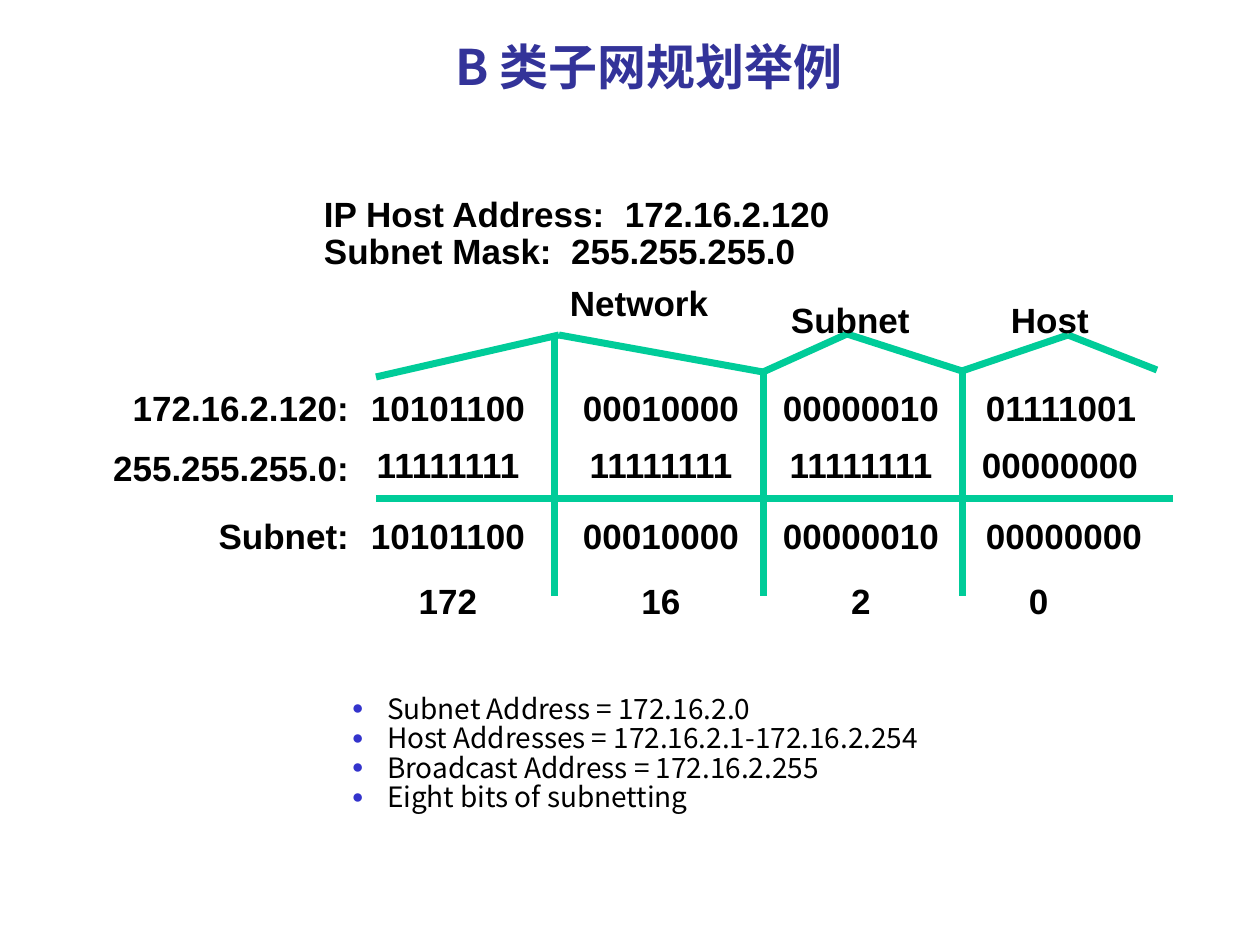
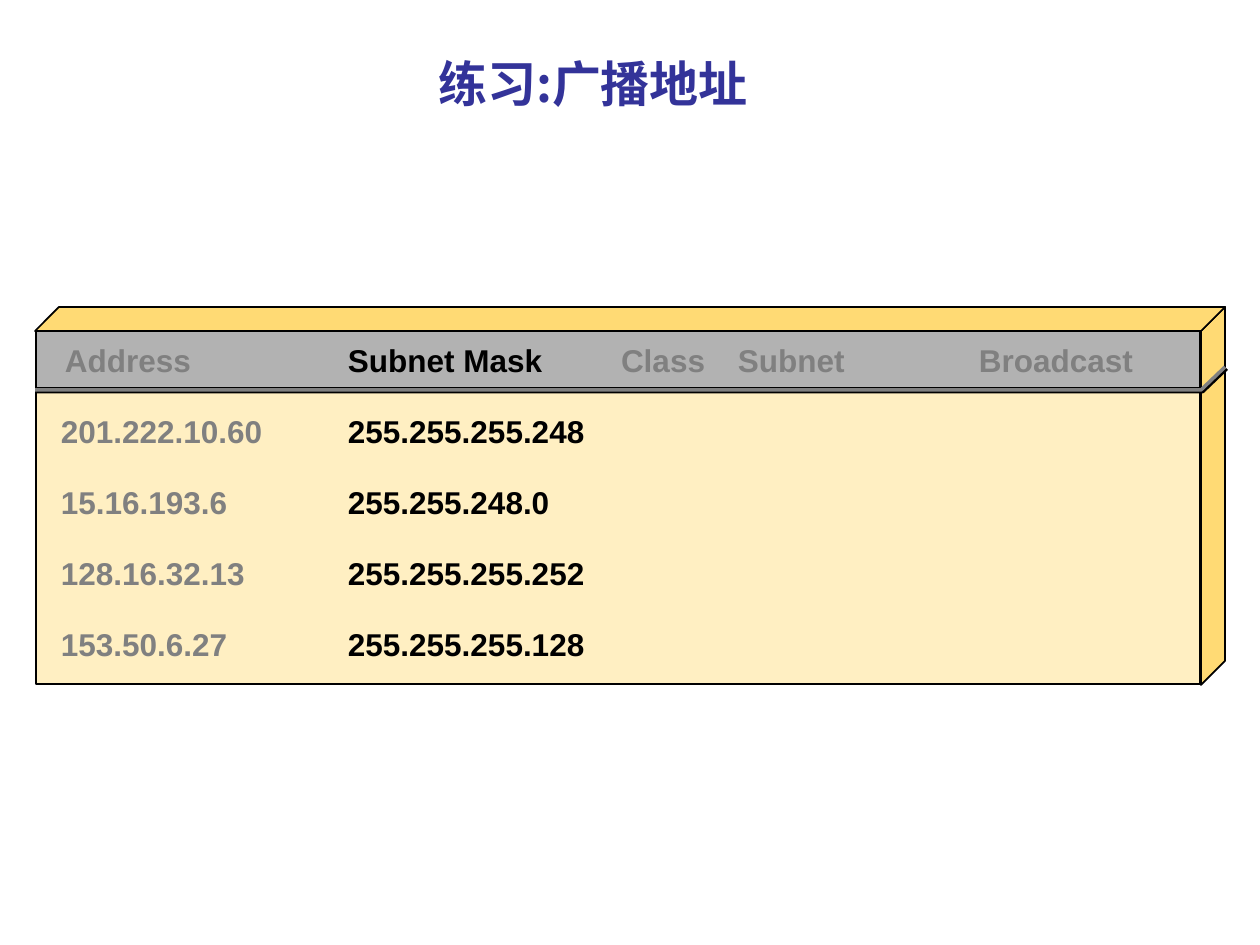
from lxml import etree
from pptx import Presentation
from pptx.dml.color import RGBColor
from pptx.enum.shapes import MSO_CONNECTOR, MSO_SHAPE
from pptx.enum.text import MSO_ANCHOR, MSO_AUTO_SIZE, PP_ALIGN
from pptx.oxml.ns import qn
from pptx.util import Emu, Inches, Pt

SCALE = 914400 / 126  # EMU in one px
LEFT, CENTER, RIGHT = PP_ALIGN.LEFT, PP_ALIGN.CENTER, PP_ALIGN.RIGHT
JUSTIFY = PP_ALIGN.JUSTIFY
TOP, MIDDLE = MSO_ANCHOR.TOP, MSO_ANCHOR.MIDDLE
STRAIGHT, RECTANGLE = MSO_CONNECTOR.STRAIGHT, MSO_SHAPE.RECTANGLE
NO_AUTOFIT = MSO_AUTO_SIZE.NONE

LATIN, CJK = "Arial", "Noto Sans CJK SC"
COLORS = {
    "title": "333399", "title_shadow": "C0C0C0", "text": "000000",
    "bullet": "3333CC", "bracket": "00CC99", "muted": "808080",
    "panel": "FFEFC2", "panel_edge": "FFDA74", "header": "B2B2B2",
    "outline": "000000",
}
TITLE_LAYOUT, BODY_LAYOUT = 5, 1
PLACEHOLDER_INSETS = (11, 5)
BINARY_INSETS = (3, 4)
EXERCISE_INSETS = (14, 8)


def px(value):
    return Emu(round(value * SCALE))


def rgb(name):
    return RGBColor.from_string(COLORS[name])


def add_xml(parent, tag, **attributes):
    return etree.SubElement(parent, qn(tag), attributes)


def add_shadow(effects, color, distance):
    shadow = add_xml(effects, "a:outerShdw", dist=str(Pt(distance)), dir="2700000",
                     algn="ctr", rotWithShape="0")
    add_xml(shadow, "a:srgbClr", val=COLORS[color])


def add_bullet(paragraph):
    properties = paragraph._p.get_or_add_pPr()
    indent = Inches(0.28)
    properties.set("marL", str(indent))
    properties.set("indent", str(-indent))
    add_xml(add_xml(properties, "a:buClr"), "a:srgbClr", val=COLORS["bullet"])
    add_xml(properties, "a:buSzPct", val="70000")
    add_xml(properties, "a:buChar", char="●")


def add_tab(paragraph, position):
    tabs = add_xml(paragraph._p.get_or_add_pPr(), "a:tabLst")
    add_xml(tabs, "a:tab", pos=str(px(position)), algn="l")


def write_text(shape, text, *, size=20, font=LATIN, color="text", bold=True, align=LEFT,
               anchor=TOP, insets=BINARY_INSETS, spacing=None, gap=0, tab=None,
               bullets=False, shadow=False):
    """Write one paragraph for each line of text."""
    frame = shape.text_frame
    frame.word_wrap = True
    frame.auto_size = NO_AUTOFIT
    frame.vertical_anchor = anchor
    frame.margin_left = frame.margin_right = px(insets[0])
    frame.margin_top = frame.margin_bottom = px(insets[1])
    for index, line in enumerate(text.split("\n")):
        paragraph = frame.add_paragraph() if index else frame.paragraphs[0]
        if bullets:
            add_bullet(paragraph)
        if tab:
            add_tab(paragraph, tab)
        paragraph.alignment = align
        paragraph.space_before = Pt(gap if index else 0)
        if spacing:
            paragraph.line_spacing = spacing
        run = paragraph.add_run()
        run.text = line
        run.font.size = Pt(size)
        run.font.bold = bold
        run.font.color.rgb = rgb(color)
        run.font.name = font
        properties = run._r.get_or_add_rPr()
        if shadow:
            effects = etree.Element(qn("a:effectLst"))
            add_shadow(effects, "title_shadow", 2)
            properties.find(qn("a:latin")).addprevious(effects)
        east_asian = etree.Element(qn("a:ea"), typeface=font)
        properties.find(qn("a:latin")).addnext(east_asian)


def place(shape, left, top, width, height):
    shape.left, shape.top = px(left), px(top)
    shape.width, shape.height = px(width), px(height)


def add_label(slide, text, left, top, width, height, **text_format):
    box = slide.shapes.add_textbox(px(left), px(top), px(width), px(height))
    write_text(box, text, **text_format)


def set_title(slide, text, *box):
    place(slide.shapes.title, *box)
    write_text(slide.shapes.title, text, size=28, font=CJK, color="title", align=CENTER,
               anchor=MIDDLE, insets=PLACEHOLDER_INSETS, shadow=True)


def add_line(slide, x1, y1, x2, y2):
    line = slide.shapes.add_connector(STRAIGHT, px(x1), px(y1), px(x2), px(y2))
    line.line.color.rgb = rgb("bracket")
    line.line.width = Pt(4)
    add_xml(line._element.spPr, "a:effectLst")


def style_shape(shape, fill=None, line="outline", width=1):
    shape.shadow.inherit = False
    if fill:
        shape.fill.solid()
        shape.fill.fore_color.rgb = rgb(fill)
    else:
        shape.fill.background()
    shape.line.color.rgb = rgb(line)
    shape.line.width = Pt(width)


def add_rectangle(slide, fill, left, top, width, height):
    shape = slide.shapes.add_shape(RECTANGLE, px(left), px(top), px(width), px(height))
    style_shape(shape, fill)


def add_outline(slide, points, close=True, **style):
    builder = slide.shapes.build_freeform(*points[0], scale=SCALE)
    builder.add_line_segments(points[1:], close=close)
    shape = builder.convert_to_shape()
    style_shape(shape, **style)
    return shape


def build_subnet_example(presentation):
    slide = presentation.slides.add_slide(presentation.slide_layouts[BODY_LAYOUT])
    set_title(slide, "B 类子网规划举例", 101, -13, 1096, 158)
    add_label(slide, "IP Host Address:\t172.16.2.120\nSubnet Mask:  255.255.255.0",
              321, 193, 620, 84, spacing=Pt(21.4), tab=301)

    # Results list, centred as a block in its placeholder
    body = slide.placeholders[1]
    place(body, 68, 682, 1134, 146)
    write_text(body, "Subnet Address = 172.16.2.0\n"
               "Host Addresses = 172.16.2.1-172.16.2.254\n"
               "Broadcast Address = 172.16.2.255\n"
               "Eight bits of subnetting",
               size=16, font=CJK, bold=False, align=JUSTIFY, anchor=MIDDLE,
               insets=PLACEHOLDER_INSETS, spacing=0.85, gap=0.5, bullets=True)
    body.text_frame._txBody.bodyPr.set("anchorCtr", "1")

    # Roofs over the address parts, column dividers and the sum line
    roof = [(376, 377), (559, 335), (763, 372), (847, 334), (962, 371), (1068, 335),
            (1157, 370)]
    for start, end in zip(roof, roof[1:]):
        add_line(slide, *start, *end)
    for x, top in ((555, 335), (764, 369), (963, 369)):
        add_line(slide, x, top, x, 596)
    add_line(slide, 376, 499, 1173, 499)

    for part, left, top in (("Network", 567, 278), ("Subnet", 788, 295),
                            ("Host", 1008, 295)):
        add_label(slide, part, left, top, 178, 50, spacing=Pt(23.6))

    # Rows: label, its top, top of the digits, line spacing, left of the host part, octets
    rows = (
        ("172.16.2.120:", 387, 387, 21.4, 983, "10101100 00010000 00000010 01111001"),
        ("255.255.255.0:", 449, 446, 20.2, 979, "11111111 11111111 11111111 00000000"),
        ("Subnet:", 515, 515, 21.4, 983, "10101100 00010000 00000010 00000000"),
        (None, None, 580, 21.4, 1026, "172 16 2 0"),
    )
    for label, label_top, top, points, host_left, octets in rows:
        spacing = Pt(points)
        if label:
            add_label(slide, label, 57, label_top, 295, 52, align=RIGHT, spacing=spacing)
        *network_octets, host_octet = octets.split()
        for left, octet in zip((359, 572, 772), network_octets):
            add_label(slide, octet, left, top, 178, 52, align=CENTER, spacing=spacing)
        add_label(slide, host_octet, host_left, top, 200, 52, spacing=spacing)


def build_broadcast_exercise(presentation):
    slide = presentation.slides.add_slide(presentation.slide_layouts[TITLE_LAYOUT])
    set_title(slide, "练习:广播地址", 105, 35, 976, 95)

    # Panel with its raised edges and the rule under the header
    add_rectangle(slide, "panel", 36, 331, 1164, 353)
    add_rectangle(slide, "header", 36, 331, 1164, 57)
    add_outline(slide, [(1225, 307), (1201, 331), (1201, 685), (1225, 661)],
                fill="panel_edge")
    add_outline(slide, [(35, 331), (59, 307), (1225, 307), (1201, 331)],
                fill="panel_edge")
    rule = add_outline(slide, [(35, 390), (1201, 390), (1225, 367)], close=False,
                       line="muted", width=2)
    add_shadow(rule._element.spPr.find(qn("a:effectLst")), "outline", 1.4)

    # Column heads
    cell_format = {"size": 18, "insets": EXERCISE_INSETS, "spacing": 0.95}
    heads = (
        ("Address", 51, 200, "muted", LEFT),
        ("Subnet Mask", 334, 265, "text", LEFT),
        ("Class", 598, 130, "muted", CENTER),
        ("Subnet", 724, 228, "muted", LEFT),
        ("Broadcast", 965, 198, "muted", LEFT),
    )
    for head, left, width, color, align in heads:
        add_label(slide, head, left, 336, width, 50, color=color, align=align,
                  **cell_format)

    # Addresses and masks
    exercises = (
        ("201.222.10.60", "255.255.255.248"),
        ("15.16.193.6", "255.255.248.0"),
        ("128.16.32.13", "255.255.255.252"),
        ("153.50.6.27", "255.255.255.128"),
    )
    for index, (address, mask) in enumerate(exercises):
        top = 407 + 71 * index
        add_label(slide, address, 47, top, 292, 50, color="muted", **cell_format)
        add_label(slide, mask, 334, top, 276, 50, **cell_format)


def main():
    presentation = Presentation()
    presentation.slide_width, presentation.slide_height = Inches(10), Inches(7.5)
    build_subnet_example(presentation)
    build_broadcast_exercise(presentation)
    presentation.save("out.pptx")


if __name__ == "__main__":
    main()
